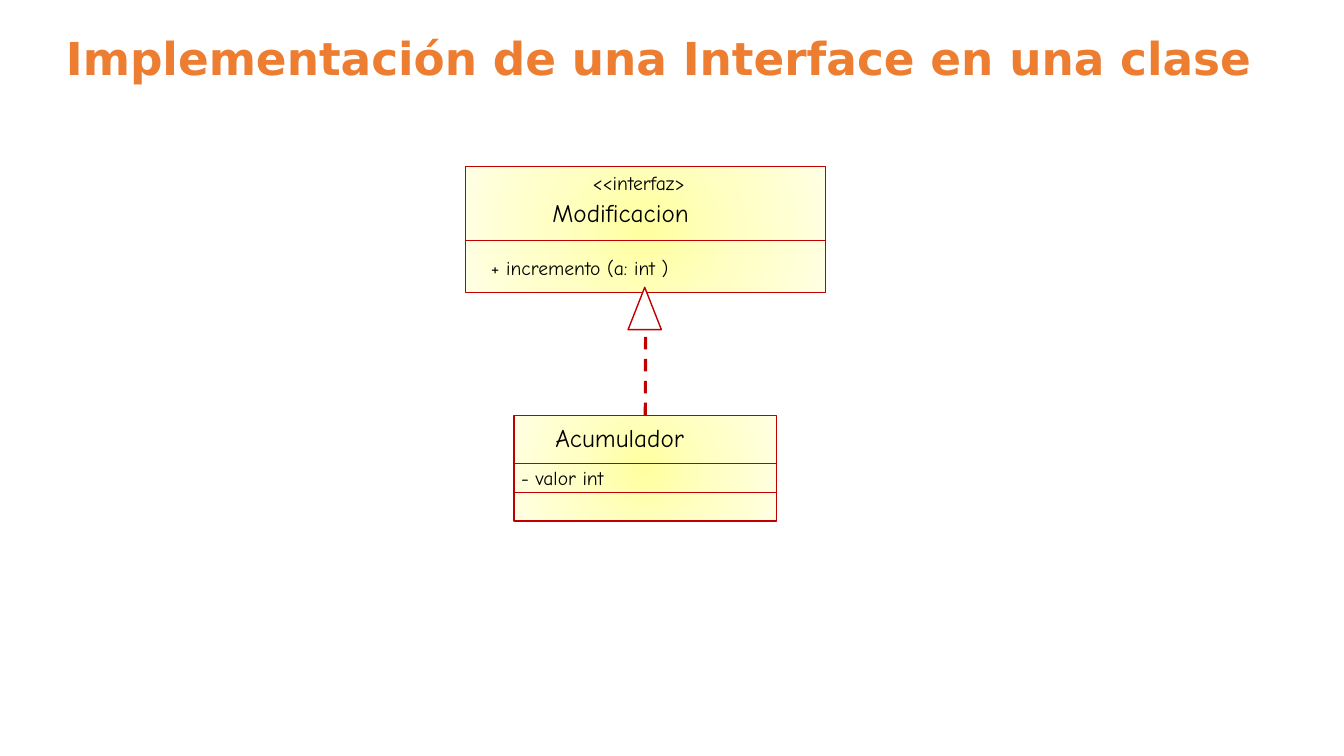
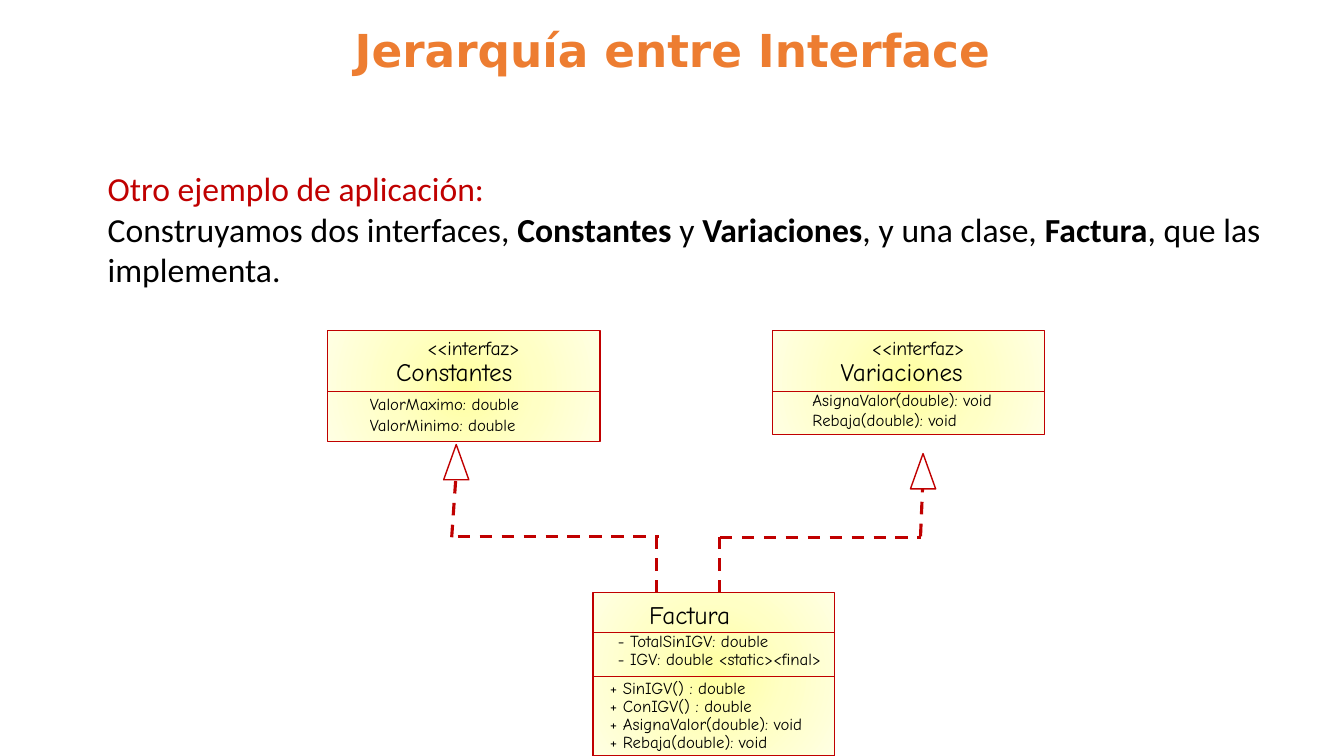
from dataclasses import dataclass

from lxml import etree
from pptx import Presentation
from pptx.dml.color import RGBColor
from pptx.enum import dml, shapes, text
from pptx.oxml import parse_xml
from pptx.oxml.ns import nsdecls, qn
from pptx.util import Inches, Pt


@dataclass(frozen=True)
class Theme:
    title_color: str = "ED7D31"
    accent: str = "C00000"
    ink: str = "000000"
    paper: str = "FFFFFF"
    glow: tuple = ((0, "FFFFA0"), (50, "FFFFC5"), (100, "FFFFE3"))
    title_font: str = "DejaVu Sans"
    body_font: str = "Calibri"
    diagram_font: str = "Comic Neue"
    title_size: float = 32.4
    body_size: int = 24
    name_size: int = 18
    label_size: int = 14
    member_size: int = 12
    outline: float = 1
    divider: float = 0.5
    dashed: float = 2.25


THEME = Theme()
STEREOTYPE = "<<interfaz>"


def add_text(slide, paragraphs, left, top, width, height, *, size,
             font=THEME.diagram_font, color=THEME.ink, bold=False,
             align=text.PP_ALIGN.LEFT, anchor=text.MSO_ANCHOR.TOP,
             wrap=False, grow=True, line_spacing=None):
    """Add a text box; each paragraph is a list of (text, run overrides)."""
    box = slide.shapes.add_textbox(
        Inches(left), Inches(top), Inches(width), Inches(height))
    frame = box.text_frame
    frame.word_wrap = wrap
    frame.vertical_anchor = anchor
    frame.auto_size = (text.MSO_AUTO_SIZE.SHAPE_TO_FIT_TEXT if grow
                       else text.MSO_AUTO_SIZE.NONE)
    for index, runs in enumerate(paragraphs):
        paragraph = frame.add_paragraph() if index else frame.paragraphs[0]
        paragraph.alignment = align
        if line_spacing:
            paragraph.line_spacing = line_spacing
        for words, changes in runs:
            run = paragraph.add_run()
            run.text = words
            run.font.name = font
            run.font.size = Pt(size)
            run.font.bold = changes.get("bold", bold)
            run.font.color.rgb = RGBColor.from_string(
                changes.get("color", color))
    return box


def add_title(slide, words, left, top, width, height):
    add_text(slide, [[(words, {})]], left, top, width, height,
             size=THEME.title_size, font=THEME.title_font,
             color=THEME.title_color, bold=True, align=text.PP_ALIGN.CENTER,
             anchor=text.MSO_ANCHOR.MIDDLE, wrap=True, grow=False,
             line_spacing=0.9)


def add_label(slide, words, left, top, width, size=THEME.label_size):
    height = 0.4 if size == THEME.name_size else 0.34
    add_text(slide, [[(words, {})]], left, top, width, height, size=size)


def add_members(slide, members, left, top, width, pitch):
    """List class members, one per line, with a fixed pitch in points."""
    add_text(slide, [[(member, {})] for member in members], left, top, width,
             0.1 + len(members) * pitch / 72, size=THEME.member_size,
             line_spacing=Pt(pitch))


def add_outlined(slide, kind, left, top, width, height):
    shape = slide.shapes.add_shape(
        kind, Inches(left), Inches(top), Inches(width), Inches(height))
    shape.shadow.inherit = False
    shape.fill.solid()
    shape.fill.fore_color.rgb = RGBColor.from_string(THEME.paper)
    shape.line.color.rgb = RGBColor.from_string(THEME.accent)
    shape.line.width = Pt(THEME.outline)
    return shape


def add_line(slide, start, end, width, dashed=False):
    line = slide.shapes.add_connector(
        shapes.MSO_CONNECTOR.STRAIGHT,
        *(Inches(value) for value in (*start, *end)))
    line.line.color.rgb = RGBColor.from_string(THEME.accent)
    line.line.width = Pt(width)
    if dashed:
        line.line.dash_style = dml.MSO_LINE.DASH
    etree.SubElement(line._element.spPr, qn("a:effectLst"))
    return line


def add_dashed_line(slide, start, end):
    return add_line(slide, start, end, THEME.dashed, dashed=True)


def add_triangle(slide, left, top, width, height):
    add_outlined(slide, shapes.MSO_SHAPE.ISOSCELES_TRIANGLE,
                 left, top, width, height)


def glow_fill(shape):
    """Replace the solid fill by a gradient that spreads from the centre."""
    stops = "".join(
        f'<a:gs pos="{position * 1000}"><a:srgbClr val="{color}"/></a:gs>'
        for position, color in THEME.glow)
    gradient = parse_xml(
        f'<a:gradFill {nsdecls("a")} rotWithShape="1">'
        f'<a:gsLst>{stops}</a:gsLst><a:path path="circle">'
        '<a:fillToRect l="50000" t="50000" r="50000" b="50000"/>'
        '</a:path></a:gradFill>')
    properties = shape._element.spPr
    properties.replace(properties.find(qn("a:solidFill")), gradient)


def add_class_box(slide, left, top, width, height, dividers):
    """Draw a class box; dividers are the heights of its inner lines."""
    box = add_outlined(slide, shapes.MSO_SHAPE.RECTANGLE,
                       left, top, width, height)
    glow_fill(box)
    for level in dividers:
        add_line(slide, (left, level), (left + width, level), THEME.divider)
    return box


def build_implementation(slide):
    accumulator = add_class_box(slide, 5.1, 4.12, 2.6, 1.05, [4.6, 4.88])
    add_label(slide, "Acumulador", 5.41, 4.14, 1.58, THEME.name_size)
    add_label(slide, "- valor int", 5.07, 4.57, 1.1)

    interface = add_class_box(slide, 4.62, 1.65, 3.57, 1.25, [2.38])
    add_label(slide, "Modificacion", 5.38, 1.91, 1.7, THEME.name_size)
    add_label(slide, STEREOTYPE, 5.78, 1.65, 1.19)
    add_label(slide, "+ incremento (a: int )", 4.77, 2.49, 2.1)

    realization = add_dashed_line(slide, (6.4, 4.12), (6.4, 2.9))
    realization.begin_connect(accumulator, 0)
    realization.end_connect(interface, 2)
    add_triangle(slide, 6.23, 2.85, 0.33, 0.42)
    add_title(slide, "Implementación de una Interface en una clase",
              0.34, 0.21, 12.39, 0.79)


def build_hierarchy(slide):
    strong = {"bold": True}
    add_text(slide, [
        [("Otro ejemplo de aplicación:", {"color": THEME.accent})],
        [("Construyamos dos interfaces, ", {}), ("Constantes", strong),
         (" y ", {}), ("Variaciones", strong), (", y una clase, ", {}),
         ("Factura", strong), (", que las implementa.", {})],
    ], 0.97, 1.62, 11.63, 1.31, size=THEME.body_size, font=THEME.body_font,
        align=text.PP_ALIGN.JUSTIFY, wrap=True)

    add_class_box(slide, 5.88, 5.88, 2.4, 1.62, [6.27, 6.71])
    add_label(slide, "Factura", 6.34, 5.9, 1.12, THEME.name_size)
    add_members(slide, ["- TotalSinIGV: double",
                        "- IGV: double <static><final>"],
                6.03, 6.23, 2.35, 13)
    add_members(slide, ["+ SinIGV() : double", "+ ConIGV() : double",
                        "+ AsignaValor(double): void",
                        "+ Rebaja(double): void"],
                5.95, 6.69, 2.31, 13)

    interfaces = [
        ("Constantes", 3.25, 1.1, 0.32, 3.85, 15,
         ["ValorMaximo: double", "ValorMinimo: double"]),
        ("Variaciones", 7.66, 1.03, 0.3, 3.82, 14.4,
         ["AsignaValor(double): void", "Rebaja(double): void"]),
    ]
    for name, left, height, indent, members_top, pitch, members in interfaces:
        add_class_box(slide, left, 3.28, 2.7, height, [3.88])
        add_label(slide, name, left + 0.58, 3.49, 1.54, THEME.name_size)
        add_label(slide, STEREOTYPE, left + 0.89, 3.28, 1.19)
        add_members(slide, members, left + indent, members_top, 2.18, pitch)

    realizations = [
        ((6.51, 5.88), (6.51, 5.33)),
        ((4.54, 5.32), (6.54, 5.32)),
        ((4.48, 5.33), (4.52, 4.76)),
        ((7.14, 5.88), (7.14, 5.33)),
        ((7.14, 5.33), (9.13, 5.33)),
        ((9.13, 5.32), (9.15, 4.84)),
    ]
    for start, end in realizations:
        add_dashed_line(slide, start, end)
    for left, top in ((4.4, 4.41), (9.03, 4.5)):
        add_triangle(slide, left, top, 0.25, 0.35)
    add_title(slide, "Jerarquía entre Interface", 2.17, 0.21, 9, 0.63)


def main():
    presentation = Presentation()
    presentation.slide_width = Inches(13.33)
    presentation.slide_height = Inches(7.5)
    blank = presentation.slide_layouts[6]
    for build in (build_implementation, build_hierarchy):
        build(presentation.slides.add_slide(blank))
    presentation.save("out.pptx")


if __name__ == "__main__":
    main()
